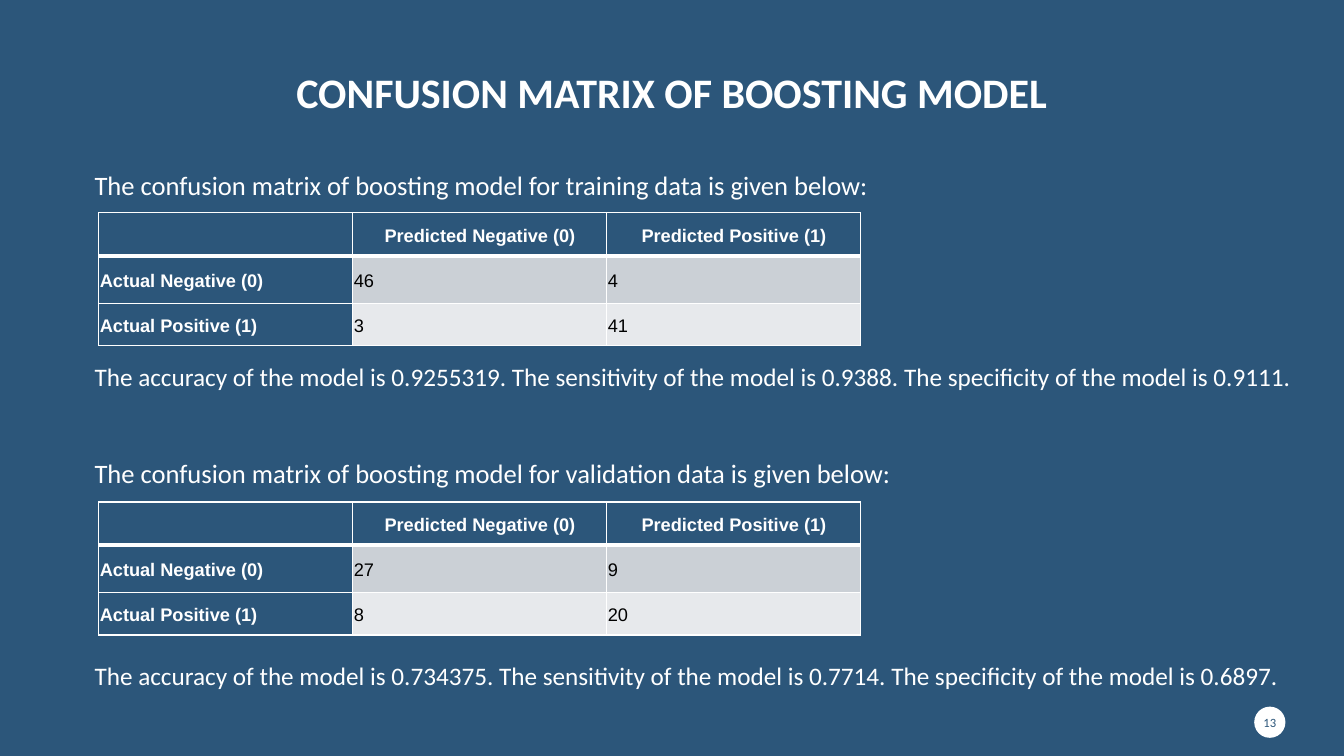
from dataclasses import dataclass

from lxml import etree
from pptx import Presentation, util as u
from pptx.dml.color import RGBColor
from pptx.enum import shapes, text
from pptx.oxml.ns import qn

TITLE = "CONFUSION MATRIX OF BOOSTING MODEL"
PAGE_NUMBER = "13"
HEADER = ("", "Predicted Negative (0)", "Predicted Positive (1)")
ROW_LABELS = ("Actual Negative (0)", "Actual Positive (1)")
SECTIONS = [
    {
        "intro": "The confusion matrix of\u00a0boosting model for training data is given below:",
        "counts": ((46, 4), (3, 41)),
        "result": "The accuracy of the model is 0.9255319. The sensitivity of the model is 0.9388. "
                  "The specificity of the model is 0.9111.",
        "tops": (21.73, 28.13, 47.07),
    },
    {
        "intro": "The confusion matrix of boosting model for validation data is given below:",
        "counts": ((27, 9), (8, 20)),
        "result": "The accuracy of the model is 0.734375. The sensitivity of the model is 0.7714. "
                  "The specificity of the model is 0.6897.",
        "tops": (59.73, 66.4, 86.67),
    },
]

TEXT_LEFT, TEXT_WIDTH, TEXT_HEIGHT = 6.3, 93, 5.4
TABLE_LEFT, COLUMN_WIDTH = 7.35, 18.9
ROW_HEIGHTS = (5.73, 6.27, 5.6)


@dataclass(frozen=True)
class Theme:
    blue: str = "2C567A"
    white: str = "FFFFFF"
    black: str = "000000"
    bands: tuple = ("CBD0D6", "E7E9EC")
    text_font: str = "Calibri"
    table_font: str = "Arial"
    title_size: int = 30
    intro_size: int = 19
    result_size: int = 18
    table_size: int = 13
    number_size: int = 9
    thin: int = 1
    thick: int = 3


theme = Theme()
presentation = Presentation()
presentation.slide_width = u.Inches(13.33)
presentation.slide_height = u.Inches(7.5)


def across(share):
    return round(presentation.slide_width * share / 100)


def down(share):
    return round(presentation.slide_height * share / 100)


def paint(fill, color):
    fill.solid()
    fill.fore_color.rgb = RGBColor.from_string(color)


def write(frame, content, size, color=theme.white, name=theme.text_font,
          bold=False, align=text.PP_ALIGN.LEFT, spacing=None):
    paragraph = frame.paragraphs[0]
    paragraph.text = content
    paragraph.alignment = align
    paragraph.line_spacing = spacing
    font = paragraph.font
    font.size, font.name, font.bold = u.Pt(size), name, bold
    font.color.rgb = RGBColor.from_string(color)


def add_line(slide, content, top, size):
    box = slide.shapes.add_textbox(across(TEXT_LEFT), down(top), across(TEXT_WIDTH), down(TEXT_HEIGHT))
    box.text_frame.word_wrap = True
    write(box.text_frame, content, size)


def set_borders(cell, top, bottom):
    properties = cell._tc.get_or_add_tcPr()
    widths = {"a:lnL": theme.thin, "a:lnR": theme.thin, "a:lnT": top, "a:lnB": bottom}
    for tag, width in widths.items():
        line = etree.SubElement(properties, qn(tag), w=str(u.Pt(width)))
        fill = etree.SubElement(line, qn("a:solidFill"))
        etree.SubElement(fill, qn("a:srgbClr"), val=theme.white)


def add_matrix(slide, counts, top):
    rows = [HEADER] + [(label, *values) for label, values in zip(ROW_LABELS, counts)]
    table = slide.shapes.add_table(
        len(rows), len(HEADER), across(TABLE_LEFT), down(top),
        across(COLUMN_WIDTH * len(HEADER)), down(sum(ROW_HEIGHTS))).table
    for column in table.columns:
        column.width = across(COLUMN_WIDTH)
    for r, values in enumerate(rows):
        table.rows[r].height = down(ROW_HEIGHTS[r])
        for c, value in enumerate(values):
            cell = table.cell(r, c)
            heading = r == 0 or c == 0
            set_borders(cell, theme.thick if r == 1 else theme.thin,
                        theme.thick if r == 0 else theme.thin)
            paint(cell.fill, theme.blue if heading else theme.bands[r - 1])
            cell.vertical_anchor = text.MSO_ANCHOR.MIDDLE
            cell.margin_left = cell.margin_right = u.Inches(0.01)
            cell.margin_top = cell.margin_bottom = u.Inches(0.01)
            write(cell.text_frame, str(value), theme.table_size,
                  theme.white if heading else theme.black, theme.table_font, heading,
                  text.PP_ALIGN.CENTER if r == 0 else text.PP_ALIGN.LEFT, 1.15)


def add_title(slide):
    title = slide.shapes.title
    title.left, title.top = across(8.55), down(6)
    title.width, title.height = across(82.9), down(10.27)
    title.text_frame.vertical_anchor = text.MSO_ANCHOR.BOTTOM
    write(title.text_frame, TITLE, theme.title_size, bold=True,
          align=text.PP_ALIGN.CENTER, spacing=0.9)


def add_page_number(slide):
    diameter = u.Inches(0.31)
    badge = slide.shapes.add_shape(shapes.MSO_SHAPE.OVAL, across(93.32), down(93.47), diameter, diameter)
    badge.shadow.inherit = False
    paint(badge.fill, theme.white)
    badge.line.fill.background()
    frame = badge.text_frame
    frame.margin_left = frame.margin_right = frame.margin_top = frame.margin_bottom = 0
    frame.word_wrap = False
    frame.vertical_anchor = text.MSO_ANCHOR.MIDDLE
    write(frame, PAGE_NUMBER, theme.number_size, theme.blue, align=text.PP_ALIGN.CENTER)


def main():
    slide = presentation.slides.add_slide(presentation.slide_layouts[5])
    paint(slide.background.fill, theme.blue)
    add_title(slide)
    for section in SECTIONS:
        intro_top, matrix_top, result_top = section["tops"]
        add_line(slide, section["intro"], intro_top, theme.intro_size)
        add_matrix(slide, section["counts"], matrix_top)
        add_line(slide, section["result"], result_top, theme.result_size)
    add_page_number(slide)
    presentation.save("out.pptx")


if __name__ == "__main__":
    main()
